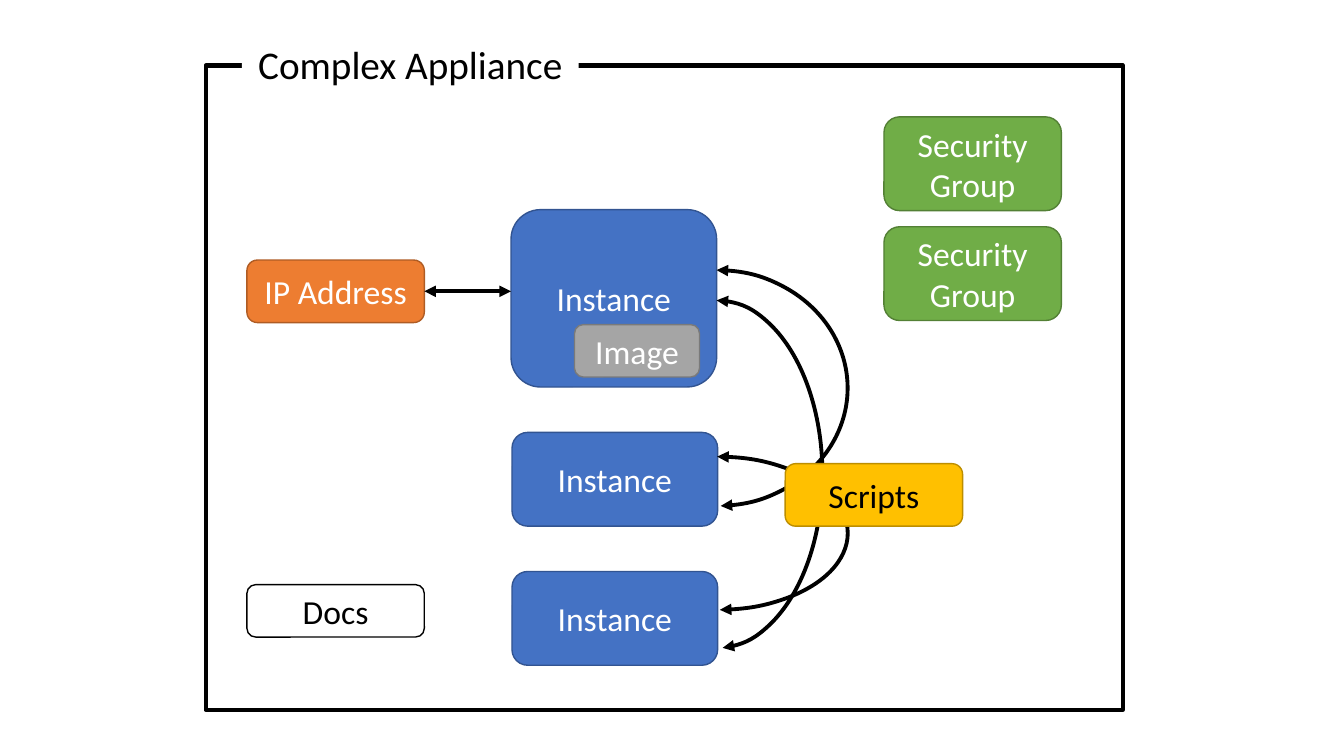
from dataclasses import dataclass

from lxml.etree import SubElement
from pptx import Presentation
from pptx.dml.color import RGBColor
from pptx.enum.shapes import MSO_CONNECTOR as Connector, MSO_SHAPE as Shape
from pptx.enum.text import MSO_ANCHOR as Anchor, MSO_AUTO_SIZE as AutoSize, PP_ALIGN as Align
from pptx.oxml.ns import qn
from pptx.util import Inches, Pt


@dataclass(frozen=True)
class Theme:
    font: str = "Calibri"
    title_size: float = 28
    label_size: float = 24
    outline: float = 1
    arrow: float = 2.75
    frame: float = 3
    black: str = "000000"
    white: str = "FFFFFF"
    blue: tuple = ("4472C4", "325491", "FFFFFF")
    orange: tuple = ("ED7D31", "AF5C24", "FFFFFF")
    green: tuple = ("70AD47", "538035", "FFFFFF")
    grey: tuple = ("A5A5A5", "7A7A7A", "FFFFFF")
    gold: tuple = ("FFC000", "BD8E00", "000000")
    plain: tuple = ("FFFFFF", "000000", "000000")


class Diagram:
    """Draws themed elements on a page measured in a grid of 40 by 22.5 square cells."""

    def __init__(self, deck, theme):
        self.theme = theme
        self.cell = deck.slide_width / 40
        self.page = deck.slides.add_slide(deck.slide_layouts[5])

    def lengths(self, cells):
        return [round(value * self.cell) for value in cells]

    def paint(self, shape, fill, line, width):
        if fill:
            shape.fill.solid()
            shape.fill.fore_color.rgb = RGBColor.from_string(fill)
        else:
            shape.fill.background()
        self.stroke(shape, line, width)
        shape.shadow.inherit = False

    def stroke(self, shape, colour, width):
        shape.line.color.rgb = RGBColor.from_string(colour)
        shape.line.width = Pt(width)

    def arrowheads(self, shape):
        outline = shape._element.spPr.find(qn("a:ln"))
        for end in ("a:headEnd", "a:tailEnd"):
            SubElement(outline, qn(end), type="triangle")

    def label(self, shape, text, size, colour):
        shape.text_frame.text = text
        para = shape.text_frame.paragraphs[0]
        para.alignment = Align.CENTER
        para.font.name = self.theme.font
        para.font.size = Pt(size)
        para.font.color.rgb = RGBColor.from_string(colour)

    def title(self, text, *cells):
        title = self.page.shapes.title
        title.left, title.top, title.width, title.height = self.lengths(cells)
        title.fill.solid()
        title.fill.fore_color.rgb = RGBColor.from_string(self.theme.white)
        self.label(title, text, self.theme.title_size, self.theme.black)
        title.text_frame.word_wrap = False
        title.text_frame.auto_size = AutoSize.NONE
        title.text_frame.vertical_anchor = Anchor.TOP
        self.page.shapes._spTree.append(title._element)

    def box(self, text, palette, *cells):
        fill, line, ink = palette
        box = self.page.shapes.add_shape(Shape.ROUNDED_RECTANGLE, *self.lengths(cells))
        self.paint(box, fill, line, self.theme.outline)
        self.label(box, text, self.theme.label_size, ink)
        box.text_frame.word_wrap = True
        box.text_frame.vertical_anchor = Anchor.MIDDLE

    def arc(self, *cells):
        arc = self.page.shapes.add_shape(Shape.ARC, *self.lengths(cells))
        arc.adjustments[0], arc.adjustments[1] = 162, 52.8
        self.paint(arc, None, self.theme.black, self.theme.arrow)
        self.arrowheads(arc)

    def arrow(self, *cells):
        arrow = self.page.shapes.add_connector(Connector.STRAIGHT, *self.lengths(cells))
        self.stroke(arrow, self.theme.black, self.theme.arrow)
        self.arrowheads(arrow)
        SubElement(arrow._element.spPr, qn("a:effectLst"))

    def frame(self, *cells):
        frame = self.page.shapes.add_shape(Shape.RECTANGLE, *self.lengths(cells))
        self.paint(frame, None, self.theme.black, self.theme.frame)


def main():
    deck = Presentation()
    deck.slide_width, deck.slide_height = Inches(40 / 3), Inches(7.5)
    theme = Theme()
    diagram = Diagram(deck, theme)
    side, wide, tall, low, flat = 5.28, 6.12, 2.79, 1.86, 1.56

    diagram.box("Instance", theme.blue, 15.21, 6.24, wide, side)
    for top in (12.87, 17.01):
        diagram.box("Instance", theme.blue, 15.24, top, wide, tall)
    diagram.box("IP Address", theme.orange, 7.35, 7.74, side, low)
    for top in (3.48, 6.75):
        diagram.box("Security Group", theme.green, 26.31, top, side, tall)
    diagram.arc(18.18, 8.94, 6.3, 10.35)
    diagram.arc(17.43, 8.04, 7.8, 7.02)
    diagram.arc(17.46, 13.59, 7.77, 4.56)
    diagram.box("Scripts", theme.gold, 23.37, 13.8, side, low)
    diagram.arrow(12.63, 8.67, 15.21, 8.67)
    diagram.box("Image", theme.grey, 17.1, 9.66, 3.72, flat)
    diagram.box("Docs", theme.plain, 7.35, 17.4, side, flat)
    diagram.frame(6.12, 1.95, 27.3, 19.17)
    diagram.title("Complex Appliance", 7.2, 1.05, 10.02, 1.71)
    deck.save("out.pptx")


if __name__ == "__main__":
    main()
